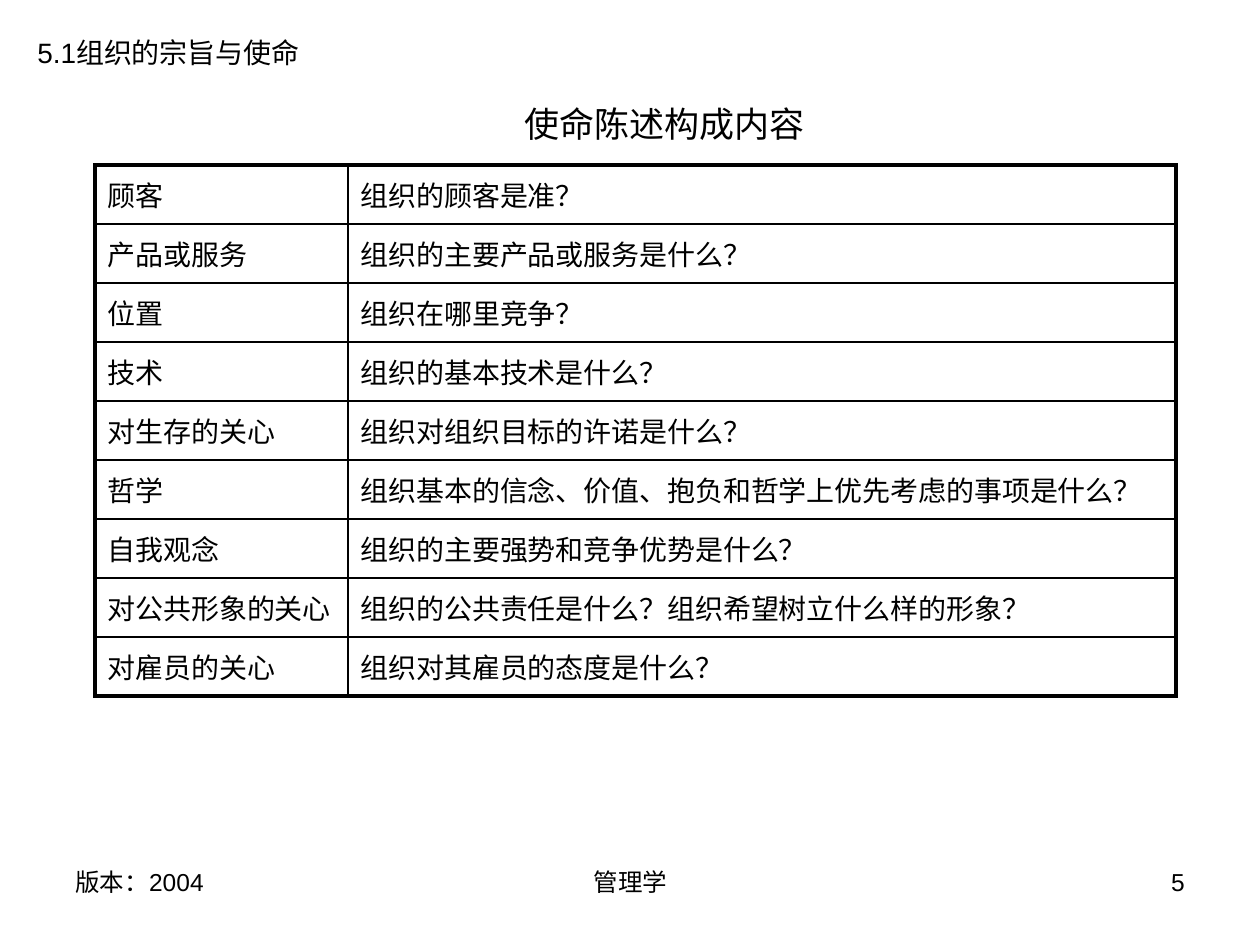
from dataclasses import dataclass

from lxml.etree import SubElement
from pptx import Presentation
from pptx.dml.color import RGBColor
from pptx.enum.text import MSO_ANCHOR, PP_ALIGN
from pptx.oxml.ns import qn
from pptx.slide import Slide
from pptx.table import _Cell
from pptx.util import Emu, Pt

EMU_PER_PX = 914400 / 126
BLACK = "000000"
SANS = "Noto Sans CJK SC"
SERIF = "Times New Roman"
THIN, THICK = 1, 2.25


@dataclass
class Label:
    text: str
    left: int
    top: int
    width: int
    height: int
    size: int
    align: PP_ALIGN = PP_ALIGN.LEFT
    anchor: MSO_ANCHOR = MSO_ANCHOR.TOP


@dataclass
class Component:
    name: str
    question: str
    font: str = SANS
    question_align: PP_ALIGN = PP_ALIGN.LEFT


LABELS = [
    Label("版本：2004", 63, 861, 294, 66, 14),
    Label("管理学", 431, 861, 399, 66, 14, PP_ALIGN.CENTER),
    Label("5", 903, 861, 294, 66, 14, PP_ALIGN.RIGHT),
    Label("使命陈述构成内容", 512, 96, 307, 54, 20, anchor=MSO_ANCHOR.MIDDLE),
    Label("5.1组织的宗旨与使命", 25, 29, 289, 47, 16),
]

COMPONENTS = [
    Component("顾客", "组织的顾客是准？"),
    Component("产品或服务", "组织的主要产品或服务是什么？"),
    Component("位置", "组织在哪里竞争？"),
    Component("技术", "组织的基本技术是什么？", SERIF),
    Component("对生存的关心", "组织对组织目标的许诺是什么？",
              question_align=PP_ALIGN.JUSTIFY),
    Component("哲学", "组织基本的信念、价值、抱负和哲学上优先考虑的事项是什么？"),
    Component("自我观念", "组织的主要强势和竞争优势是什么？"),
    Component("对公共形象的关心", "组织的公共责任是什么？组织希望树立什么样的形象？"),
    Component("对雇员的关心", "组织对其雇员的态度是什么？", SERIF),
]

COLUMN_WIDTHS = [253, 828]
ROW_HEIGHT = 59


def px(length: int) -> Emu:
    return Emu(round(length * EMU_PER_PX))


def color(value: str) -> RGBColor:
    return RGBColor.from_string(value)


def style(paragraph, size: int, font: str, align: PP_ALIGN) -> None:
    paragraph.alignment = align
    paragraph.font.size = Pt(size)
    paragraph.font.name = font
    paragraph.font.color.rgb = color(BLACK)


def draw_label(slide: Slide, label: Label) -> None:
    box = slide.shapes.add_textbox(
        px(label.left), px(label.top), px(label.width), px(label.height))
    frame = box.text_frame
    frame.word_wrap = True
    frame.vertical_anchor = label.anchor
    frame.text = label.text
    style(frame.paragraphs[0], label.size, "Arial", label.align)


def draw_borders(cell: _Cell, widths: dict[str, float]) -> None:
    properties = cell._tc.get_or_add_tcPr()
    for side, width in widths.items():
        line = SubElement(properties, qn(f"a:ln{side}"), w=str(Pt(width)))
        fill = SubElement(line, qn("a:solidFill"))
        SubElement(fill, qn("a:srgbClr"), val=BLACK)


def draw_components(slide: Slide, components: list[Component],
                    left: int, top: int) -> None:
    last_row, last_column = len(components) - 1, len(COLUMN_WIDTHS) - 1
    table = slide.shapes.add_table(
        len(components), len(COLUMN_WIDTHS), px(left), px(top),
        px(sum(COLUMN_WIDTHS)), px(ROW_HEIGHT * len(components))).table
    table.first_row = table.horz_banding = False
    for column, width in zip(table.columns, COLUMN_WIDTHS):
        column.width = px(width)
    for r, component in enumerate(components):
        table.rows[r].height = px(ROW_HEIGHT)
        entries = [(component.name, PP_ALIGN.LEFT),
                   (component.question, component.question_align)]
        for c, (text, align) in enumerate(entries):
            cell = table.cell(r, c)
            cell.text = text
            cell.vertical_anchor = MSO_ANCHOR.MIDDLE
            style(cell.text_frame.paragraphs[0], 16, component.font, align)
            draw_borders(cell, {
                "L": THICK if c == 0 else THIN,
                "R": THICK if c == last_column else THIN,
                "T": THICK if r == 0 else THIN,
                "B": THICK if r == last_row else THIN,
            })
            cell.fill.background()


def main() -> None:
    presentation = Presentation()
    presentation.slide_width = px(1260)
    presentation.slide_height = px(945)
    slide = presentation.slides.add_slide(presentation.slide_layouts[6])
    for label in LABELS:
        draw_label(slide, label)
    draw_components(slide, COMPONENTS, left=95, top=165)
    presentation.save("out.pptx")


if __name__ == "__main__":
    main()
